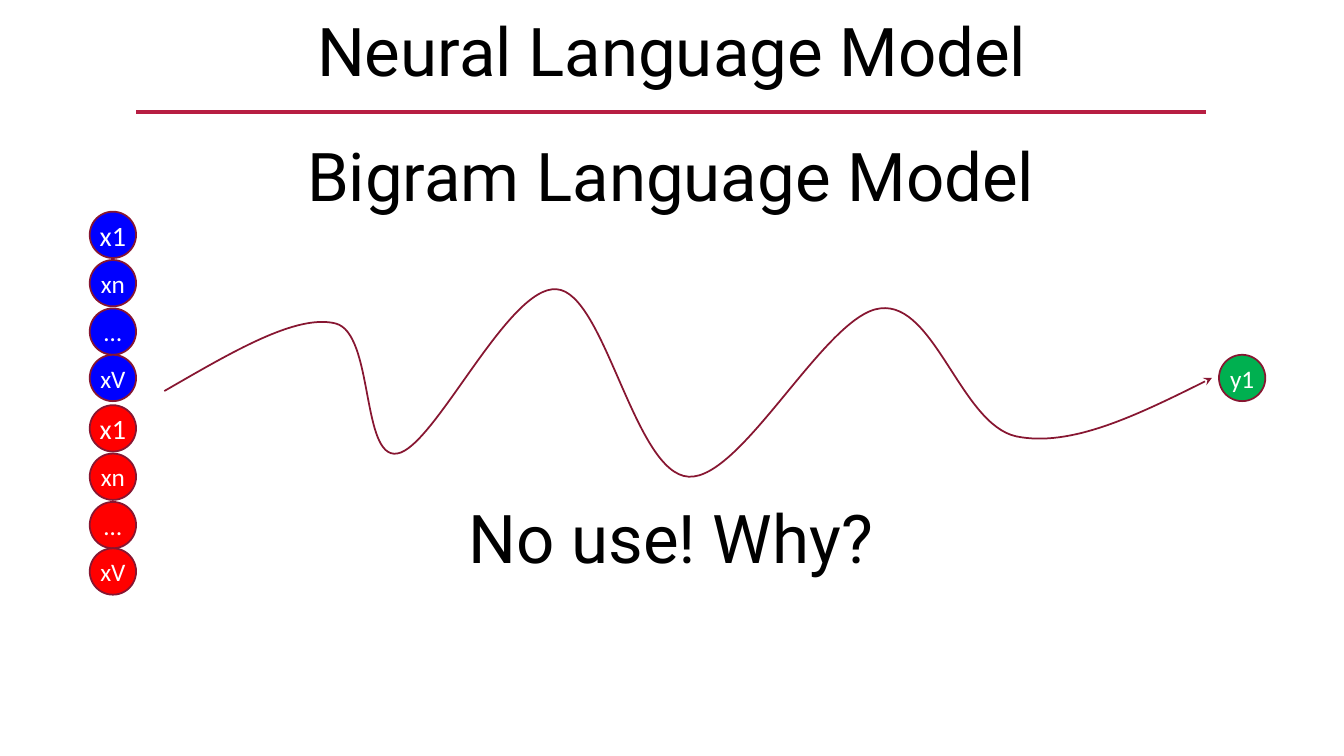
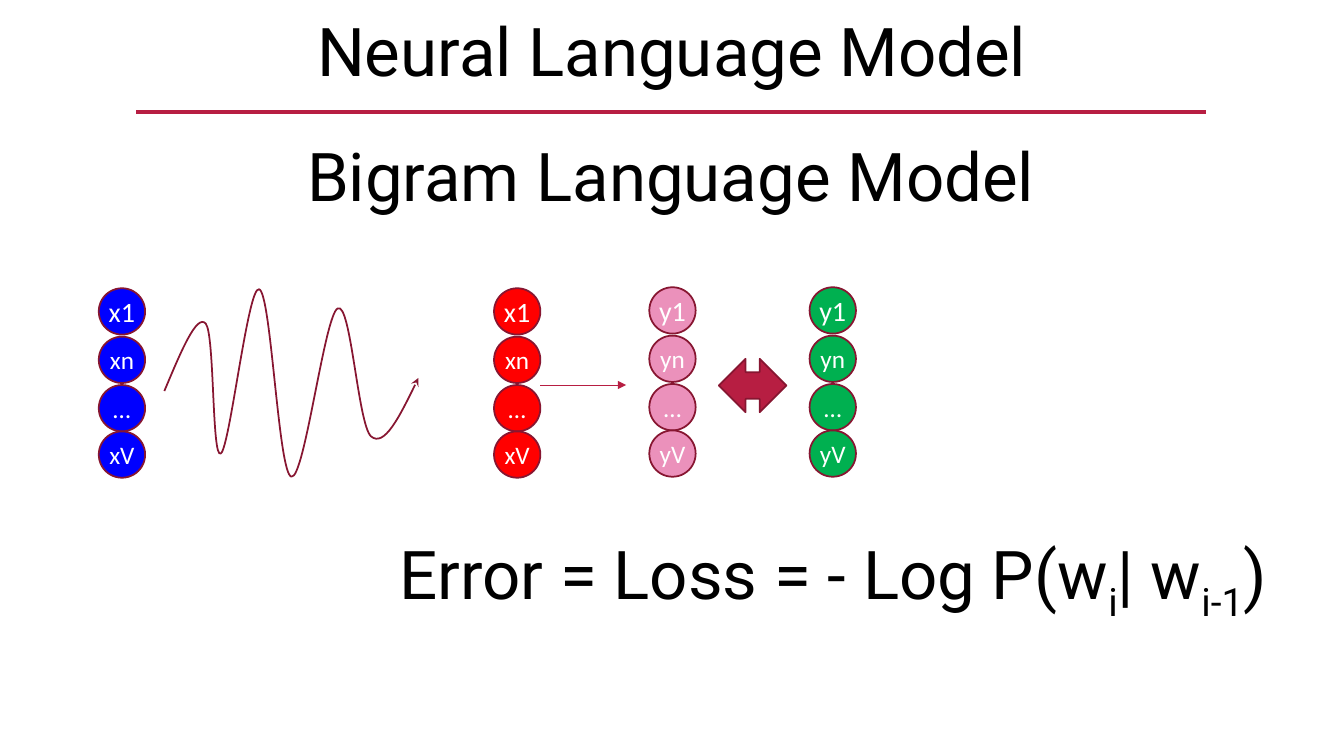
import pptx
import pptx.util
import pptx.dml.color
import pptx.enum.shapes
import pptx.enum.text
import pptx.oxml
import pptx.oxml.ns

RGBColor = pptx.dml.color.RGBColor
SHAPE = pptx.enum.shapes.MSO_SHAPE
ANCHOR = pptx.enum.text.MSO_ANCHOR
CENTER = pptx.enum.text.PP_ALIGN.CENTER
qn = pptx.oxml.ns.qn

BLACK = RGBColor(0x00, 0x00, 0x00)
WHITE = RGBColor(0xFF, 0xFF, 0xFF)
CRIMSON = RGBColor(0xB7, 0x1E, 0x42)
MAROON = RGBColor(0x87, 0x16, 0x31)
BLUE = RGBColor(0x00, 0x00, 0xFF)
RED = RGBColor(0xFF, 0x00, 0x00)
GREEN = RGBColor(0x00, 0xB0, 0x50)
PINK = RGBColor(0xEB, 0x91, 0xBB)

SCALE = 9144
WIDTH, HEIGHT = 1333, 750
HEADING_H = 91
NODE = 46
NODE_OFFSETS = (0, 48, 96, 142)

TITLE = "Neural Language Model"
SUBTITLE = "Bigram Language Model"
QUESTION = "No use! Why?"
LOSS = [("Error = Loss = - Log P(w", 0), ("i", -25), ("| w", 0), ("i-1", -25), (")", 0)]
X_LABELS = ("x1", "xn", "…", "xV")
Y_LABELS = ("y1", "yn", "…", "yV")

COLUMNS_1 = [
    (89, 210, BLUE, X_LABELS),
    (89, 402, RED, X_LABELS),
    (1209, 352, GREEN, ("y1",)),
]
COLUMNS_2 = [
    (98, 286, BLUE, X_LABELS),
    (490, 286, RED, X_LABELS),
    (644, 285, PINK, Y_LABELS),
    (803, 285, GREEN, Y_LABELS),
]

WAVE_LEFT, WAVE_W = 163, 1039
WAVE = [
    (163, 388),
    (229, 350), (294, 311), (333, 321),
    (371, 331), (358, 456), (394, 450),
    (431, 444), (504, 283), (552, 287),
    (600, 290), (629, 470), (683, 473),
    (736, 476), (819, 312), (873, 306),
    (927, 299), (953, 421), (1008, 433),
    (1062, 444), (1132, 410), (1202, 375),
]


def px(*values):
    return [pptx.util.Emu(round(v * SCALE)) for v in values]


def style_run(r, font, size, color):
    r.font.name = font
    r.font.size = pptx.util.Pt(size)
    r.font.color.rgb = color


def style_heading(sp):
    tf = sp.text_frame
    tf.word_wrap = True
    tf.auto_size = pptx.enum.text.MSO_AUTO_SIZE.NONE
    tf.vertical_anchor = ANCHOR.TOP
    p = tf.paragraphs[0]
    p.alignment = CENTER
    for r in p.runs:
        style_run(r, "Roboto", 48, BLACK)


def add_heading(s, left, top, width, parts):
    sp = s.shapes.add_textbox(*px(left, top, width, HEADING_H))
    p = sp.text_frame.paragraphs[0]
    for text, baseline in parts:
        r = p.add_run()
        r.text = text
        if baseline:
            r.font._element.set("baseline", str(baseline * 1000))
    style_heading(sp)


def style_line(line, color, weight, tail=None):
    line.color.rgb = color
    line.width = pptx.util.Pt(weight)
    if tail:
        end = pptx.oxml.ns.qn("a:tailEnd")
        line._get_or_add_ln().append(pptx.oxml.xmlchemy.OxmlElement("a:tailEnd"))
        line._get_or_add_ln().find(end).set("type", tail)


def add_line(s, start, finish, weight, tail=None):
    c = s.shapes.add_connector(
        pptx.enum.shapes.MSO_CONNECTOR.STRAIGHT, *px(*start, *finish))
    style_line(c.line, CRIMSON, weight, tail)
    c._element.spPr.append(pptx.oxml.xmlchemy.OxmlElement("a:effectLst"))


def add_shape(s, kind, box, fill):
    sp = s.shapes.add_shape(kind, *px(*box))
    sp.shadow.inherit = False
    sp.fill.solid()
    sp.fill.fore_color.rgb = fill
    style_line(sp.line, MAROON, 1.25)
    return sp


def add_column(s, left, top, fill, labels):
    for i, (label, offset) in enumerate(zip(labels, NODE_OFFSETS)):
        sp = add_shape(s, SHAPE.OVAL, (left, top + offset, NODE, NODE), fill)
        tf = sp.text_frame
        tf.text = label
        tf.word_wrap = False
        tf.vertical_anchor = ANCHOR.MIDDLE
        tf.margin_left = tf.margin_right = tf.margin_top = tf.margin_bottom = 0
        p = tf.paragraphs[0]
        p.alignment = CENTER
        size = 20 if i == 0 and len(labels) > 1 else 18
        style_run(p.runs[0], "Calibri", size, WHITE)


def add_wave(s, width):
    points = [(WAVE_LEFT + (x - WAVE_LEFT) * width / WAVE_W, y) for x, y in WAVE]
    builder = s.shapes.build_freeform(*points[0], scale=SCALE)
    builder.add_line_segments(points[1:], close=False)
    sp = builder.convert_to_shape()
    sp.shadow.inherit = False
    sp.fill.background()
    style_line(sp.line, MAROON, 1.25, "stealth")
    segments = list(sp._element.iter(qn("a:lnTo")))
    for i in range(0, len(segments), 3):
        curve = pptx.oxml.xmlchemy.OxmlElement("a:cubicBezTo")
        segments[i].addprevious(curve)
        for segment in segments[i:i + 3]:
            curve.append(segment[0])
            segment.getparent().remove(segment)


def add_slide(prs, columns, wave_width):
    s = prs.slides.add_slide(prs.slide_layouts[5])
    title = s.shapes.title
    title.left, title.top, title.width, title.height = px(0, 4, WIDTH, HEADING_H)
    title.text_frame.text = TITLE
    style_heading(title)
    add_line(s, (135, 111), (1196, 111), 2.5)
    add_heading(s, -1, 128, WIDTH, [(SUBTITLE, 0)])
    for column in columns:
        add_column(s, *column)
    add_wave(s, wave_width)
    return s


def main():
    prs = pptx.Presentation()
    prs.slide_width, prs.slide_height = px(WIDTH, HEIGHT)

    s = add_slide(prs, COLUMNS_1, WAVE_W)
    add_heading(s, -1, 487, WIDTH, [(QUESTION, 0)])

    s = add_slide(prs, COLUMNS_2, 252)
    add_line(s, (536, 382), (621, 382), 0.75, "triangle")
    add_heading(s, 369, 523, 915, LOSS)
    add_shape(s, SHAPE.LEFT_RIGHT_ARROW, (713, 356, 67, 53), CRIMSON)

    prs.save("out.pptx")


if __name__ == "__main__":
    main()
